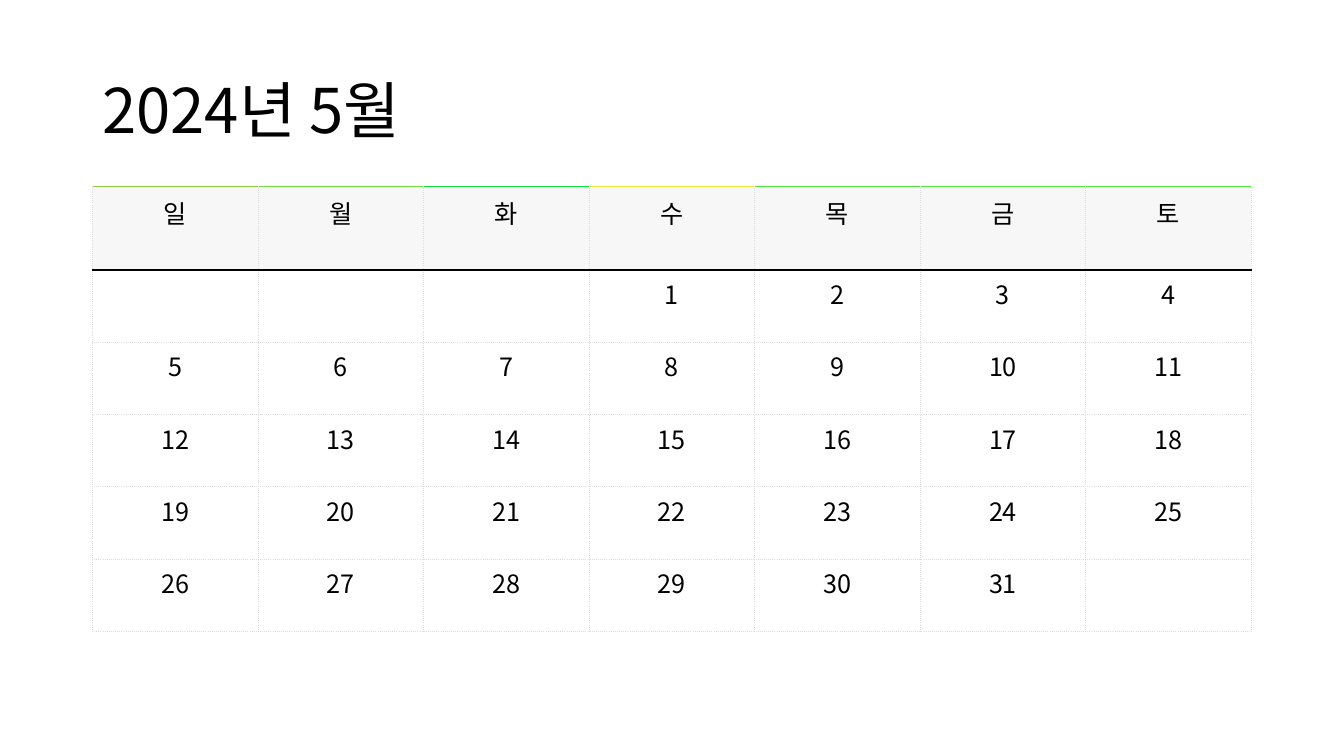
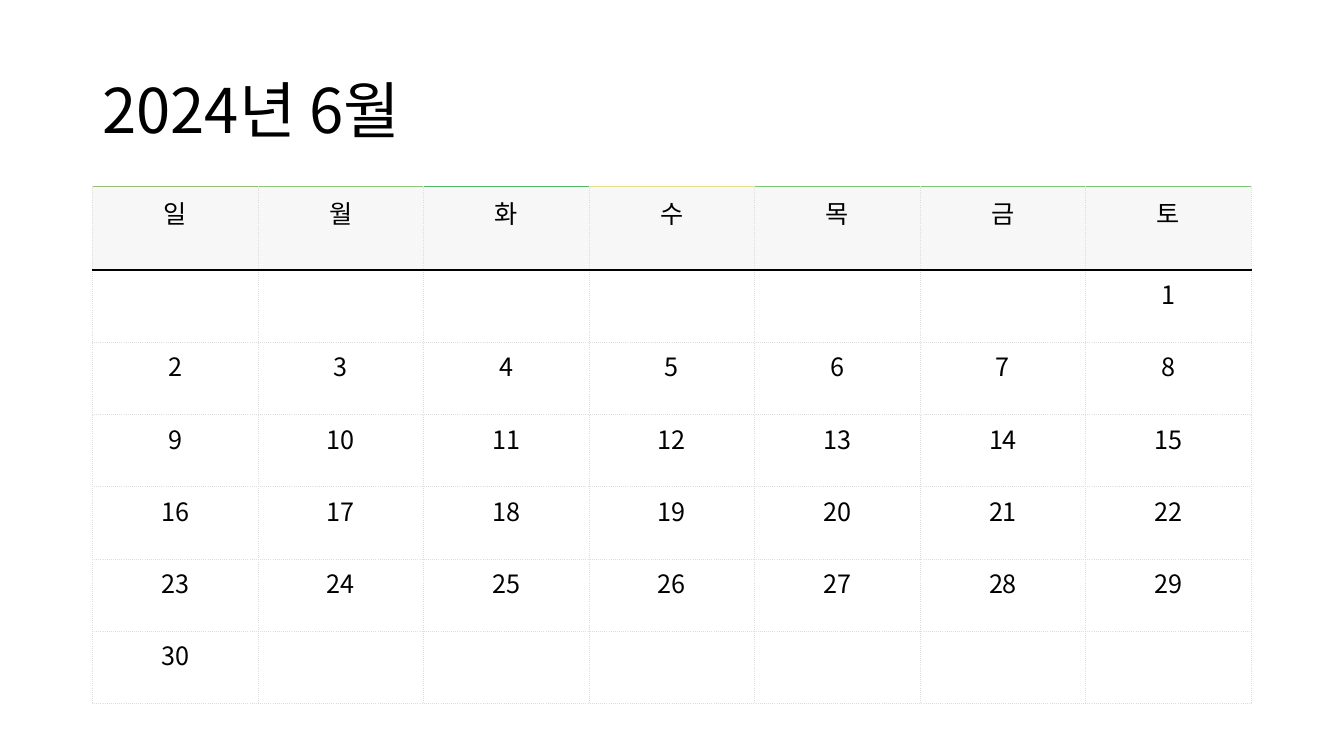
from math import ceil

from lxml import etree
from pptx import Presentation
from pptx.dml.color import RGBColor
from pptx.enum.text import MSO_ANCHOR, PP_ALIGN
from pptx.oxml.ns import qn
from pptx.util import Cm, Pt

CENTER = PP_ALIGN.CENTER
LEFT = PP_ALIGN.LEFT
MIDDLE = MSO_ANCHOR.MIDDLE

FONT = "Noto Sans CJK KR"
BLACK = RGBColor(0x00, 0x00, 0x00)
WHITE = RGBColor(0xFF, 0xFF, 0xFF)
HEADER_GRAY = RGBColor(0xF7, 0xF7, 0xF7)
GRID_GRAY = RGBColor(0xDD, 0xDD, 0xDD)

WEEKDAYS = [
    ("일", RGBColor(0x90, 0xCB, 0x3E)),
    ("월", RGBColor(0x70, 0xE1, 0x3D)),
    ("화", RGBColor(0x10, 0xE2, 0x3D)),
    ("수", RGBColor(0xF0, 0xE8, 0x3D)),
    ("목", RGBColor(0x50, 0xE7, 0x3D)),
    ("금", RGBColor(0x50, 0xEB, 0x3D)),
    ("토", RGBColor(0x50, 0xE7, 0x3D)),
]

# Title, column of the first day (Sunday is 0), number of days
MONTHS = [
    ("2024년 5월", 3, 31),
    ("2024년 6월", 6, 30),
]

TITLE_BOX = (Cm(2.33), Cm(1.01), Cm(29.21), Cm(3.68))
CALENDAR_BOX = (Cm(2.33), Cm(4.69), Cm(29.21))
HEADER_HEIGHT = Cm(2.12)
WEEK_HEIGHT = Cm(1.82)
HEADER_INSET = Cm(0.2)
DAY_INSET = Cm(0.13)

# Border: colour, width in points, dash
GRID_LINE = (GRID_GRAY, 0.75, "dot")
HEADER_RULE = (BLACK, 1.5, "solid")


def write_text(paragraph, text, size, align):
    paragraph.text = text
    paragraph.alignment = align
    font = paragraph.font
    font.size = Pt(size)
    font.bold = False
    font.color.rgb = BLACK
    font.name = FONT
    # Hangul takes the East Asian typeface
    properties = paragraph._p.pPr.find(qn("a:defRPr"))
    etree.SubElement(properties, qn("a:ea"), typeface=FONT)


def add_border(cell, side, color, width, dash):
    """Add one border; sides must come in the order L, R, T, B."""
    line = etree.SubElement(cell._tc.get_or_add_tcPr(), qn(f"a:ln{side}"),
                            w=str(Pt(width)))
    fill = etree.SubElement(line, qn("a:solidFill"))
    etree.SubElement(fill, qn("a:srgbClr"), val=str(color))
    etree.SubElement(line, qn("a:prstDash"), val=dash)


def style_cell(cell, text, inset, fill, top, bottom):
    cell.margin_left = cell.margin_right = inset
    cell.margin_top = cell.margin_bottom = inset
    borders = {"L": GRID_LINE, "R": GRID_LINE, "T": top, "B": bottom}
    for side, border in borders.items():
        add_border(cell, side, *border)
    cell.fill.solid()
    cell.fill.fore_color.rgb = fill
    if text:
        write_text(cell.text_frame.paragraphs[0], text, 18, CENTER)


def add_title(slide, box, text):
    frame = slide.shapes.add_textbox(*box).text_frame
    frame.word_wrap = True
    frame.vertical_anchor = MIDDLE
    heading = frame.paragraphs[0]
    heading.line_spacing = 0.9
    write_text(heading, text, 44, LEFT)


def add_calendar(slide, box, first_column, day_count):
    left, top, width = box
    columns = len(WEEKDAYS)
    weeks = ceil((first_column + day_count) / columns)
    height = HEADER_HEIGHT + weeks * WEEK_HEIGHT
    calendar = slide.shapes.add_table(weeks + 1, columns, left, top,
                                      width, height).table
    calendar.first_row = False
    calendar.horz_banding = False

    for row in calendar.rows:
        row.height = WEEK_HEIGHT
    calendar.rows[0].height = HEADER_HEIGHT

    for column, (weekday, accent) in enumerate(WEEKDAYS):
        style_cell(calendar.cell(0, column), weekday, HEADER_INSET,
                   HEADER_GRAY, (accent, 0.75, "solid"), HEADER_RULE)
        for week in range(weeks):
            day = week * columns + column - first_column + 1
            text = str(day) if 1 <= day <= day_count else ""
            rule_above = GRID_LINE if week else HEADER_RULE
            style_cell(calendar.cell(week + 1, column), text, DAY_INSET,
                       WHITE, rule_above, GRID_LINE)


def add_month_slide(deck, title, first_column, day_count):
    slide = deck.slides.add_slide(deck.slide_layouts[6])
    add_title(slide, TITLE_BOX, title)
    add_calendar(slide, CALENDAR_BOX, first_column, day_count)


def main():
    deck = Presentation()
    deck.slide_width = Cm(33.87)
    deck.slide_height = Cm(19.05)
    for month in MONTHS:
        add_month_slide(deck, *month)
    deck.save("out.pptx")


if __name__ == "__main__":
    main()
